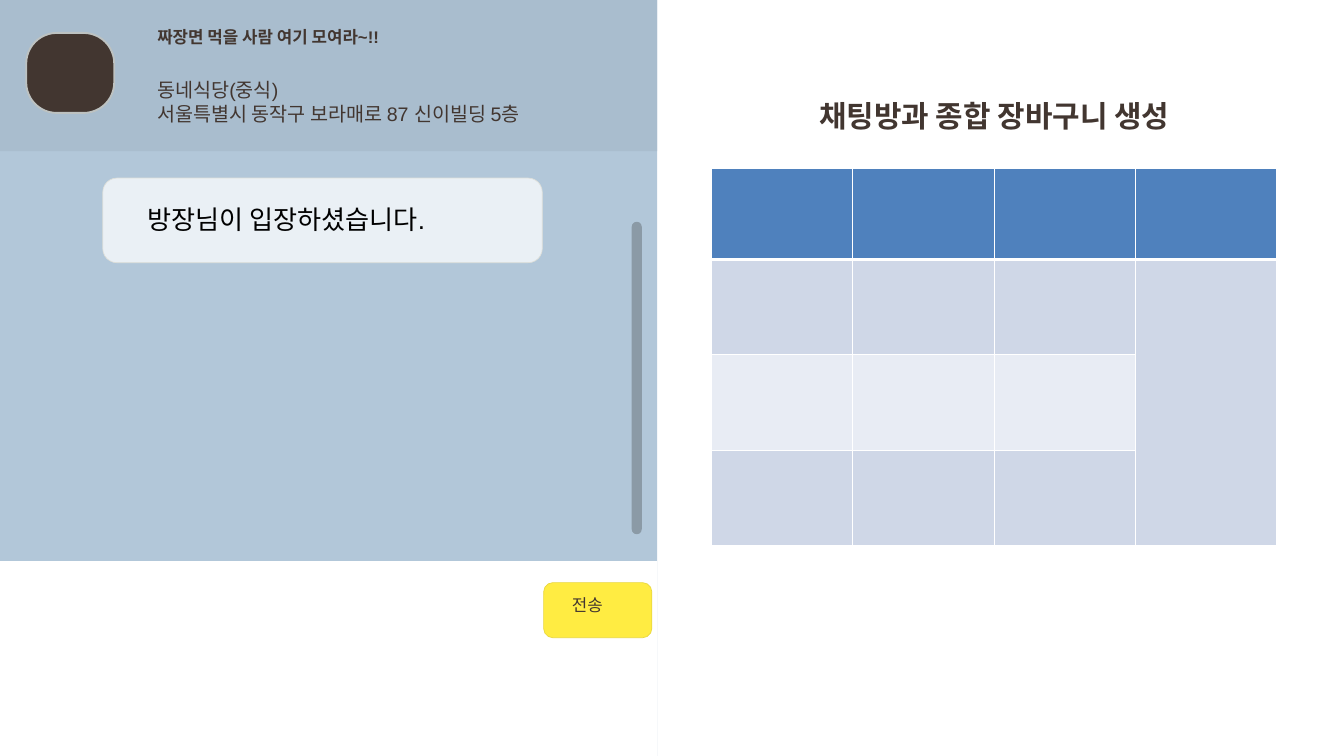
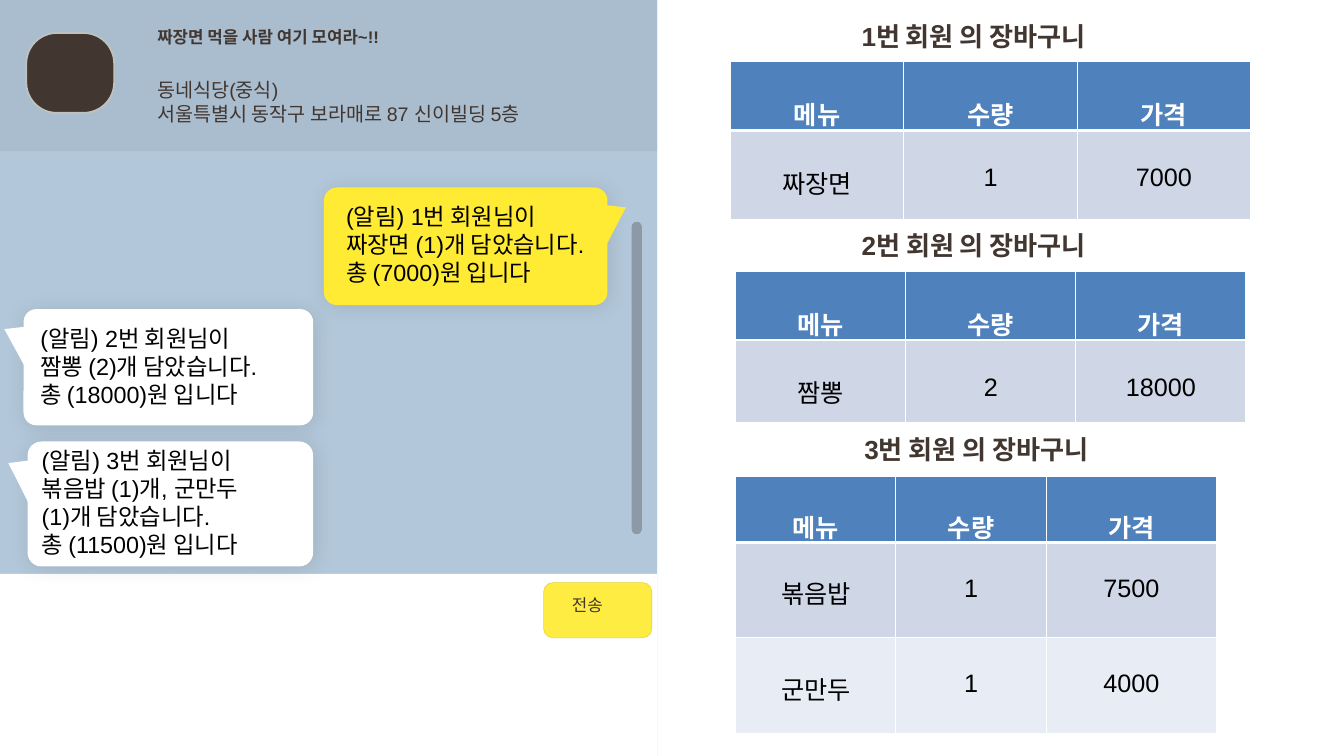
from lxml import etree
from pptx import Presentation
from pptx.dml.color import RGBColor
from pptx.enum.shapes import MSO_SHAPE
from pptx.enum.text import MSO_ANCHOR, MSO_AUTO_SIZE, PP_ALIGN
from pptx.oxml.ns import qn
from pptx.util import Inches, Pt

RECT = MSO_SHAPE.RECTANGLE
ROUNDED = MSO_SHAPE.ROUNDED_RECTANGLE
TRIANGLE = MSO_SHAPE.ISOSCELES_TRIANGLE
TOP = MSO_ANCHOR.TOP
GROW = MSO_AUTO_SIZE.SHAPE_TO_FIT_TEXT
LEFT = PP_ALIGN.LEFT
CENTER = PP_ALIGN.CENTER

FONT = "Arial"
BROWN = "423630"
BLACK = "000000"
WHITE = "FFFFFF"
YELLOW = "FFEB33"
HEADER_BLUE = "4F81BD"
BANDS = ["CFD7E7", "E8ECF4"]
PANEL_WIDTH = 9.78
BLANK_LINE = 0.43
CART_HEADINGS = ["메뉴", "수량", "가격"]


def rgb(color):
    return RGBColor.from_string(color)


def lengths(*values):
    return [Inches(value) for value in values]


def add_block(shapes, kind, box, fill, adjust=None, outline=None, rotation=0):
    block = shapes.add_shape(kind, *lengths(*box))
    block.shadow.inherit = False
    block.rotation = rotation
    block.fill.solid()
    block.fill.fore_color.rgb = rgb(fill)
    if adjust is not None:
        block.adjustments[0] = adjust
    if outline:
        color, width = outline
        block.line.color.rgb = rgb(color)
        block.line.width = Pt(width)
    else:
        block.line.fill.background()
    return block


def set_alpha(block, percent):
    color = block.fill._xPr.find(qn("a:solidFill"))[0]
    etree.SubElement(color, qn("a:alpha"), val=str(percent * 1000))


def add_soft_shadow(block):
    effects = block._element.spPr.find(qn("a:effectLst"))
    shadow = etree.SubElement(
        effects, qn("a:outerShdw"), blurRad=str(Pt(22)), dist=str(Pt(3)),
        dir="2700000", algn="ctr", rotWithShape="0")
    color = etree.SubElement(shadow, qn("a:srgbClr"), val=BLACK)
    etree.SubElement(color, qn("a:alpha"), val="10000")


def set_margins(target, horizontal, top, bottom):
    target.margin_left = target.margin_right = Inches(horizontal)
    target.margin_top = Inches(top)
    target.margin_bottom = Inches(bottom)


def write_lines(frame, lines, size, color, bold=False, align=LEFT):
    for index, line in enumerate(lines):
        paragraph = frame.add_paragraph() if index else frame.paragraphs[0]
        paragraph.alignment = align
        run = paragraph.add_run()
        run.text = line
        run.font.name = FONT
        run.font.size = Pt(size)
        run.font.bold = bold
        run.font.color.rgb = rgb(color)


def fill_frame(frame, lines, size, color, bold=False, align=LEFT):
    frame.word_wrap = True
    frame.auto_size = GROW
    frame.vertical_anchor = TOP
    set_margins(frame, 0.15, 0.07, 0.07)
    write_lines(frame, lines, size, color, bold, align)


def add_text(slide, box, lines, size, color=BROWN, bold=False, align=LEFT):
    frame = slide.shapes.add_textbox(*lengths(*box)).text_frame
    fill_frame(frame, lines, size, color, bold, align)


def set_title(slide, box, text, size):
    title = slide.shapes.title
    title.left, title.top, title.width, title.height = lengths(*box)
    fill_frame(title.text_frame, [text], size, BROWN, True, CENTER)


def set_borders(cell, bottom_width):
    properties = cell._tc.get_or_add_tcPr()
    for side, width in (("L", 1), ("R", 1), ("T", 1), ("B", bottom_width)):
        line = etree.SubElement(properties, qn(f"a:ln{side}"), w=str(Pt(width)))
        fill = etree.SubElement(line, qn("a:solidFill"))
        etree.SubElement(fill, qn("a:srgbClr"), val=WHITE)


def add_grid(slide, left, top, widths, heights):
    table = slide.shapes.add_table(
        len(heights), len(widths),
        *lengths(left, top, sum(widths), sum(heights))).table
    for column, width in zip(table.columns, widths):
        column.width = Inches(width)
    for index, (row, height) in enumerate(zip(table.rows, heights)):
        row.height = Inches(height)
        for cell in row.cells:
            set_borders(cell, 1 if index else 3)
            cell.fill.solid()
            cell.fill.fore_color.rgb = rgb(
                BANDS[(index - 1) % 2] if index else HEADER_BLUE)
    return table


def add_cart(slide, left, top, widths, heights, orders, margins=(0.15, 0.07)):
    table = add_grid(slide, left, top, widths, heights)
    horizontal, vertical = margins
    for row, values in enumerate([CART_HEADINGS] + orders):
        for column, value in enumerate(values):
            cell = table.cell(row, column)
            set_margins(cell, horizontal, vertical + BLANK_LINE, vertical)
            write_lines(cell.text_frame, [value], 27,
                        BLACK if row else WHITE, row == 0, CENTER)


def add_bubble(slide, box, tail, fill, points_left):
    bubble = slide.shapes.add_group_shape().shapes
    add_soft_shadow(add_block(bubble, ROUNDED, box, fill, 0.111))
    pointer = add_block(bubble, TRIANGLE, tail, fill, 0.059,
                        rotation=270 if points_left else 90)
    if points_left:
        pointer._element.spPr.find(qn("a:xfrm")).set("flipH", "1")


def add_chat_room(slide, input_top):
    shapes = slide.shapes
    add_block(shapes, RECT, (0, 0, PANEL_WIDTH, 11.25), "B2C7D9")
    add_block(shapes, RECT, (0, -0.02, PANEL_WIDTH, 2.27), "A9BDCE")
    add_block(shapes, ROUNDED, (7.15, 5.55, 4.65, 0.15), "8B9AA6", 0.5,
              rotation=90)
    add_block(shapes, RECT, (0, input_top, PANEL_WIDTH, 11.25 - input_top),
              WHITE)
    add_block(shapes, ROUNDED, (8.09, 8.67, 1.61, 0.82), "FFEC42", 0.167,
              ("E8D73F", 0.75))
    add_block(shapes, ROUNDED, (0.39, 0.49, 1.31, 1.19), BROWN, 0.382,
              ("BDC2C1", 2))
    add_text(slide, (8.36, 8.78, 1.06, 0.45), ["전송"], 18)
    add_text(slide, (2.19, 0.32, 5.98, 0.45),
             ["짜장면 먹을 사람 여기 모여라~!!"], 18, bold=True)
    add_text(slide, (2.19, 1.09, 6.3, 0.86),
             ["동네식당(중식)", "서울특별시 동작구 보라매로 87 신이빌딩 5층"], 21)


def build_room_opening(slide):
    add_chat_room(slide, 8.35)
    set_title(slide, (11.81, 1.38, 5.98, 0.69), "채팅방과 종합 장바구니 생성", 32)
    shared_cart = add_grid(slide, 10.59, 2.51, [2.1] * 4, [1.35] + [1.42] * 3)
    shared_cart.cell(1, 3).merge(shared_cart.cell(3, 3))
    notice = add_block(slide.shapes, ROUNDED, (1.53, 2.65, 6.54, 1.26),
                       "FAFCFD", 0.167, ("DEDFD9", 0.75))
    set_alpha(notice, 78)
    add_text(slide, (2.05, 2.96, 6.51, 0.62), ["방장님이 입장하셨습니다."], 28, BLACK)


def build_member_carts(slide):
    add_chat_room(slide, 8.54)
    set_title(slide, (11.5, 0.24, 5.98, 0.62), "1번 회원 의 장바구니", 28)
    for number, left, top in ((2, 11.5, 3.34), (3, 11.54, 6.38)):
        add_text(slide, (left, top, 5.98, 0.62), [f"{number}번 회원 의 장바구니"],
                 28, bold=True, align=CENTER)

    add_cart(slide, 10.87, 0.92, [2.58] * 3, [0.9, 1.32],
             [["짜장면", "1", "7000"]])
    add_cart(slide, 10.95, 4.04, [2.53] * 3, [1.01, 1.23],
             [["짬뽕", "2", "18000"]])
    add_cart(slide, 10.95, 7.09, [2.38, 2.24, 2.53], [0.93, 1.42, 1.42],
             [["볶음밥", "1", "7500"], ["군만두", "1", "4000"]], (0.1, 0.05))

    alerts = [
        ((4.82, 2.79, 4.22, 1.75), (8.77, 3.23, 0.73, 0.36), YELLOW, False,
         (5, 2.94, 5.16, 1.41),
         ["(알림) 1번 회원님이", "짜장면 (1)개 담았습니다.", "총 (7000)원 입니다"]),
        ((0.35, 4.6, 4.31, 1.73), (-0.11, 5.03, 0.72, 0.37), WHITE, True,
         (0.45, 4.76, 5.16, 1.41),
         ["(알림) 2번 회원님이", "짬뽕 (2)개 담았습니다.", "총 (18000)원 입니다"]),
        ((0.41, 6.57, 4.25, 1.86), (-0.08, 7.05, 0.78, 0.37), WHITE, True,
         (0.47, 6.57, 5.16, 1.83),
         ["(알림) 3번 회원님이", "볶음밥 (1)개, 군만두", "(1)개 담았습니다.",
          "총 (11500)원 입니다"]),
    ]
    for bubble, tail, fill, points_left, message_box, message in alerts:
        add_bubble(slide, bubble, tail, fill, points_left)
        add_text(slide, message_box, message, 25, BLACK)


def main():
    deck = Presentation()
    deck.slide_width, deck.slide_height = lengths(20, 11.25)
    title_only = deck.slide_layouts[5]
    for build in (build_room_opening, build_member_carts):
        build(deck.slides.add_slide(title_only))
    deck.save("out.pptx")


if __name__ == "__main__":
    main()
